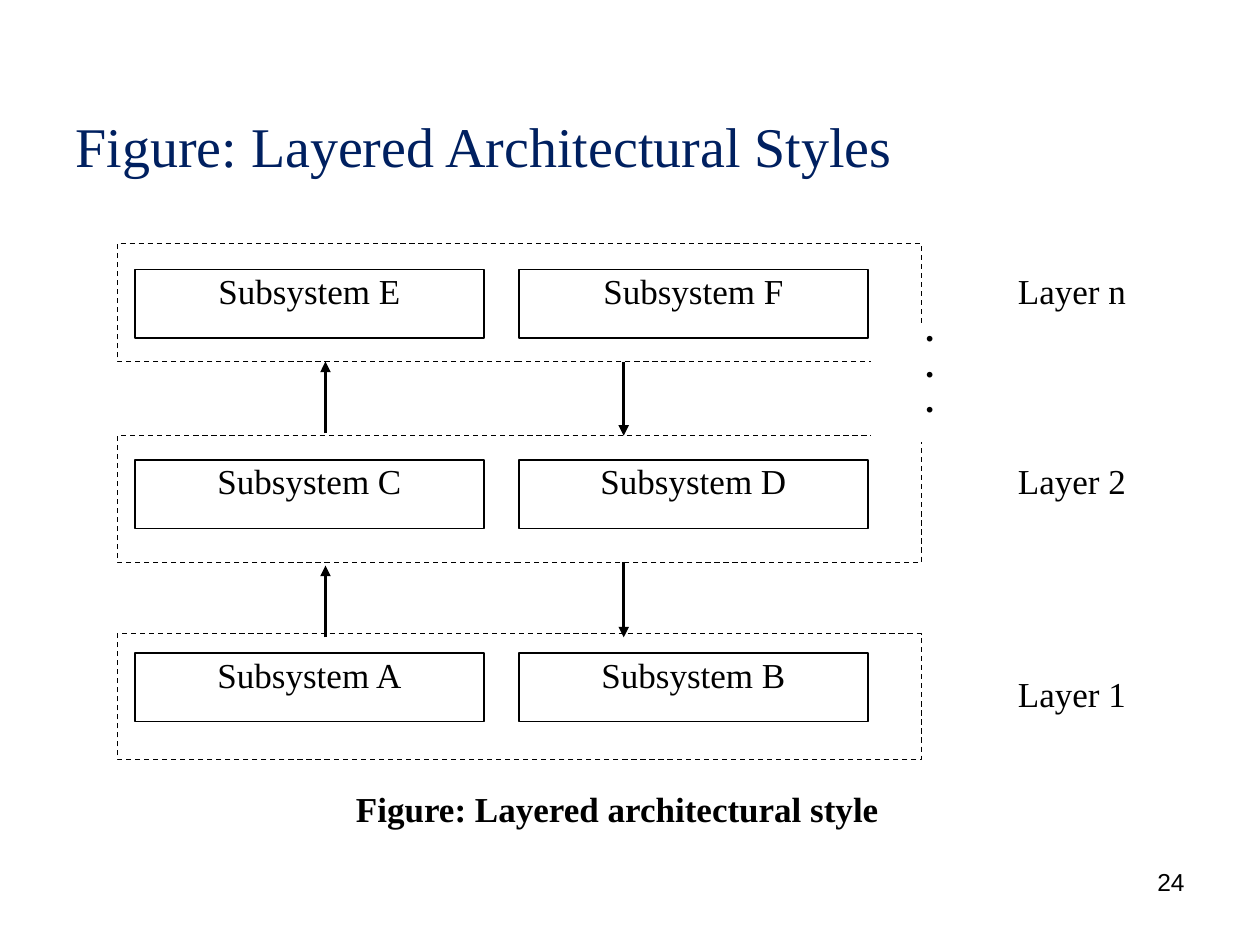
from pptx import Presentation
from pptx.dml.color import RGBColor
from pptx.enum.dml import MSO_LINE
from pptx.enum.shapes import MSO_CONNECTOR, MSO_SHAPE
from pptx.enum.text import MSO_ANCHOR, PP_ALIGN
from pptx.oxml.ns import qn
from pptx.util import Pt
from lxml import etree

BLACK = RGBColor(0, 0, 0)
WHITE = RGBColor(255, 255, 255)
NAVY = RGBColor(0x00, 0x20, 0x60)
RECTANGLE = MSO_SHAPE.RECTANGLE
STRAIGHT = MSO_CONNECTOR.STRAIGHT
DASH = MSO_LINE.DASH
TOP, MIDDLE = MSO_ANCHOR.TOP, MSO_ANCHOR.MIDDLE
LEFT, CENTER, RIGHT = PP_ALIGN.LEFT, PP_ALIGN.CENTER, PP_ALIGN.RIGHT

presentation = Presentation()
presentation.slide_width, presentation.slide_height = Pt(720), Pt(540)
slide = presentation.slides.add_slide(presentation.slide_layouts[6])


def write(shape, text, size=20, font="Times New Roman", color=BLACK, bold=False,
          align=CENTER, anchor=TOP, inset=(0, 0), spacing=None):
    """Fill a shape with text; inset is (horizontal, vertical) in points."""
    frame = shape.text_frame
    frame.word_wrap = True
    frame.vertical_anchor = anchor
    frame.margin_left = frame.margin_right = Pt(inset[0])
    frame.margin_top = frame.margin_bottom = Pt(inset[1])
    frame.text = text
    for paragraph in frame.paragraphs:
        paragraph.alignment = align
        if spacing:
            paragraph.line_spacing = Pt(spacing)
        paragraph.font.size = Pt(size)
        paragraph.font.name = font
        paragraph.font.bold = bold
        paragraph.font.color.rgb = color


def add_box(left, top, width, height, line=WHITE, dash=None):
    """Add a white rectangle with a thin outline."""
    shape = slide.shapes.add_shape(RECTANGLE, Pt(left), Pt(top), Pt(width), Pt(height))
    shape.shadow.inherit = False
    shape.fill.solid()
    shape.fill.fore_color.rgb = WHITE
    shape.line.color.rgb = line
    shape.line.width = Pt(0.75)
    if dash:
        shape.line.dash_style = dash
    return shape


# Title
title = slide.shapes.add_textbox(Pt(36), Pt(54), Pt(648), Pt(57.6))
write(title, "Figure: Layered Architectural Styles", size=32, color=NAVY,
      align=LEFT, anchor=MIDDLE, inset=(7.2, 3.6))

# Layers: label, label top, frame top, frame height, subsystem top, subsystems
layers = [
    ("Layer n", 154, 139, 67.7, 154, ("Subsystem E", "Subsystem F")),
    ("Layer 2", 262.8, 249, 72.5, 262.8, ("Subsystem C", "Subsystem D")),
    ("Layer 1", 384.5, 362.2, 72, 373.2, ("Subsystem A", "Subsystem B")),
]
for label, label_top, frame_top, frame_height, box_top, subsystems in layers:
    add_box(67, frame_top, 459.4, frame_height, BLACK, DASH)
    write(add_box(576.7, label_top, 102.2, 39.2), label, align=LEFT, inset=(5, 0))
    for column, subsystem in enumerate(subsystems):
        box = add_box(77.2 + 219.4 * column, box_top, 199.4, 39.2, BLACK)
        write(box, subsystem, inset=(1.4, 0))

# Arrows between layers: x, start y, end y
arrows = [(356.4, 206.6, 249), (356.4, 321.1, 364.2),
          (186, 364.2, 323.2), (186, 247.6, 206.6)]
for x, start, end in arrows:
    arrow = slide.shapes.add_connector(STRAIGHT, Pt(x), Pt(start), Pt(x), Pt(end))
    arrow.line.color.rgb = BLACK
    arrow.line.width = Pt(2)
    etree.SubElement(arrow.line._get_or_add_ln(), qn("a:tailEnd"), type="triangle")
    etree.SubElement(arrow._element.spPr, qn("a:effectLst"))

# Caption
caption = add_box(115.9, 450, 473.8, 29.5)
write(caption, "Figure: Layered architectural style", bold=True)

# Ellipsis over a white patch that interrupts the frames
add_box(498.2, 185.8, 66.2, 66.2)
ellipsis = slide.shapes.add_textbox(Pt(498.2), Pt(179), Pt(66.2), Pt(66.2))
write(ellipsis, ".\n.\n.", bold=True, spacing=20.3)

# Slide number
number = slide.shapes.add_textbox(Pt(516.2), Pt(491.8), Pt(167.8), Pt(37.4))
write(number, "24", size=14, font="Arial", align=RIGHT, inset=(7.2, 3.6))

presentation.save("out.pptx")
